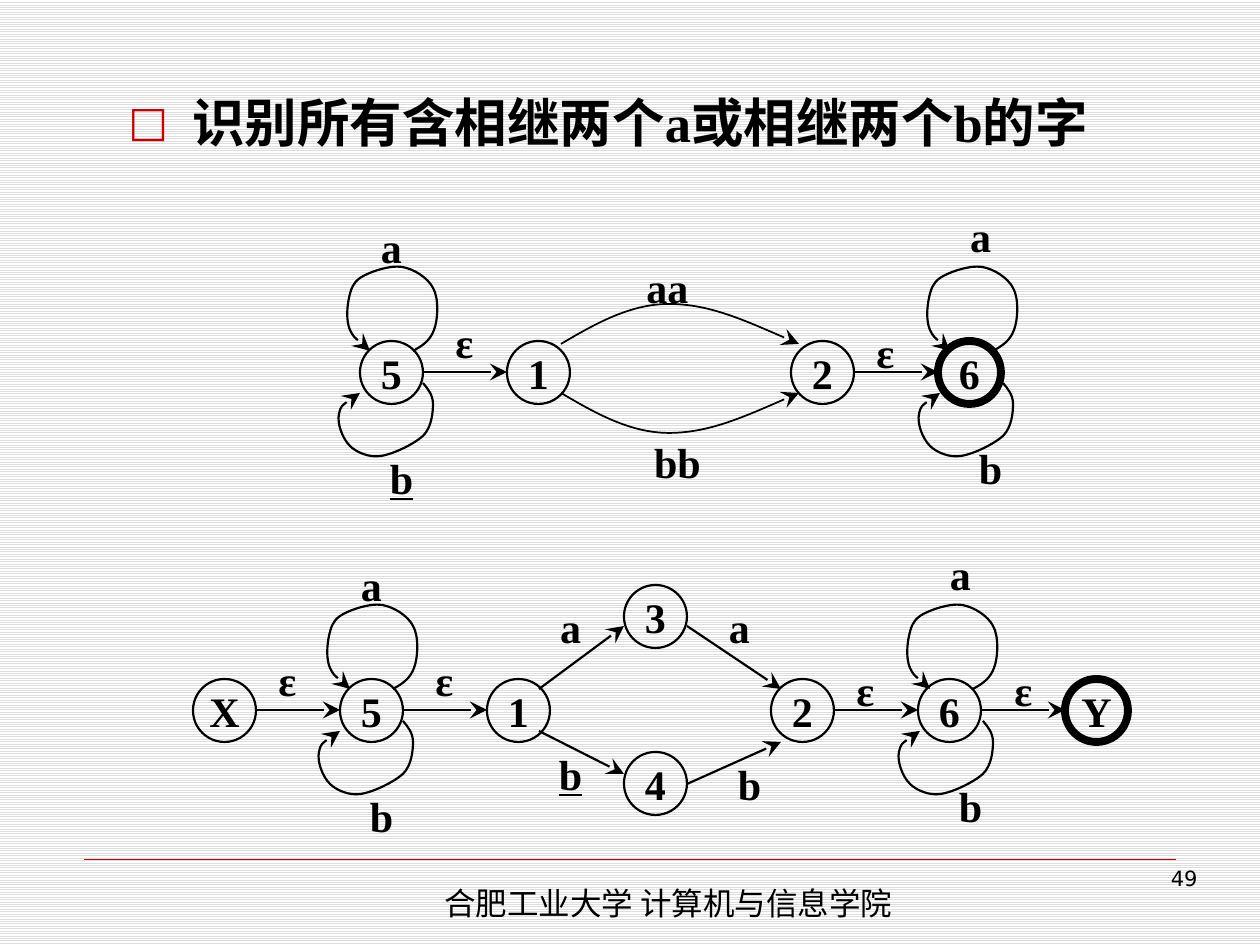
from lxml import etree
from pptx import Presentation
from pptx.dml.color import RGBColor
from pptx.enum.dml import MSO_PATTERN
from pptx.enum.shapes import MSO_CONNECTOR as CONNECTOR, MSO_SHAPE as SHAPE
from pptx.enum.text import MSO_ANCHOR as ANCHOR, MSO_AUTO_SIZE as AUTO_SIZE, PP_ALIGN as ALIGN
from pptx.oxml.ns import qn
from pptx.util import Pt

PX = 914400 / 126
COLORS = {"ink": "000000", "accent": "CC0000", "stripe": "DDDDDD", "paper": "FFFFFF"}
SERIF, SANS, CHINESE = "Times New Roman", "DejaVu Sans", "Noto Sans CJK SC"
SIZE = 63
HALF = SIZE // 2

UPPER_LOOP = [(53, 10), (62, 5), (70, 0), (74, -11), (78, -21), (79, -43), (73, -53),
              (68, -63), (54, -72), (42, -74), (30, -76), (9, -69), (0, -63),
              (-7, -58), (-9, -52), (-11, -43), (-13, -34), (-14, -20), (-10, -11),
              (-6, -3), (3, 4), (10, 10)]
LOWER_LOOP = [(63, 42), (68, 48), (73, 54), (73, 63), (73, 71), (72, 86), (63, 95),
              (54, 103), (34, 113), (21, 115), (9, 117), (-4, 111), (-10, 105),
              (-18, 97), (-23, 82), (-21, 73), (-19, 64), (-10, 58), (0, 52)]
ARC = [(0, 0), (34, -20), (69, -40), (108, -40), (148, -40), (192, -20), (238, 0)]


def emu(value):
    return round(value * PX)


def color(name):
    return RGBColor.from_string(COLORS[name])


class Diagram:
    def __init__(self, slide):
        self.slide = slide
        self.shapes = slide.shapes

    def start_group(self):
        self.shapes = self.slide.shapes.add_group_shape().shapes

    def background(self):
        fill = self.slide.background.fill
        fill.patterned()
        fill.pattern = MSO_PATTERN.LIGHT_HORIZONTAL
        fill.fore_color.rgb = color("stripe")
        fill.back_color.rgb = color("paper")

    def format_run(self, paragraph, size, font, bold=False, underline=None):
        for run in paragraph.runs:
            run.font.size = Pt(size)
            run.font.name = font
            run.font.bold = bold
            run.font.underline = underline
            run.font.color.rgb = color("ink")

    def style_line(self, shape, width, tint="ink", arrow=False):
        shape.line.width = Pt(width)
        shape.line.color.rgb = color(tint)
        if arrow:
            line = shape.line._get_or_add_ln()
            etree.SubElement(line, qn("a:tailEnd"), type="stealth", w="lg", len="lg")

    def text(self, box, words, size, font, bold=False, align=ALIGN.LEFT):
        shape = self.shapes.add_textbox(*map(emu, box))
        frame = shape.text_frame
        frame.word_wrap = True
        frame.text = words
        paragraph = frame.paragraphs[0]
        paragraph.alignment = align
        self.format_run(paragraph, size, font, bold)
        properties = paragraph.runs[0]._r.get_or_add_rPr()
        etree.SubElement(properties, qn("a:ea"), typeface=CHINESE)
        return shape

    def bullet(self, paragraph, char, indent):
        properties = paragraph._p.get_or_add_pPr()
        properties.set("marL", str(emu(indent)))
        properties.set("indent", str(-emu(indent)))
        tint = etree.SubElement(properties, qn("a:buClr"))
        etree.SubElement(tint, qn("a:srgbClr"), val=COLORS["accent"])
        etree.SubElement(properties, qn("a:buSzPct"), val="80000")
        etree.SubElement(properties, qn("a:buFont"), typeface=SANS)
        etree.SubElement(properties, qn("a:buChar"), char=char)

    def centre_text(self, shape, words, underline=None):
        frame = shape.text_frame
        frame.word_wrap = False
        frame.margin_left = frame.margin_right = 0
        frame.vertical_anchor = ANCHOR.MIDDLE
        frame.text = words
        paragraph = frame.paragraphs[0]
        paragraph.alignment = ALIGN.CENTER
        self.format_run(paragraph, 24, SERIF, True, underline)

    def label(self, words, left, top, underline=None):
        shape = self.shapes.add_textbox(*map(emu, (left, top, SIZE, SIZE)))
        self.centre_text(shape, words, underline)

    def state(self, name, left, top, final=False):
        shape = self.shapes.add_shape(SHAPE.OVAL, *map(emu, (left, top, SIZE, SIZE)))
        shape.shadow.inherit = False
        shape.fill.background()
        self.style_line(shape, 4.5 if final else 1.25)
        self.centre_text(shape, name)

    def line(self, start, end, width=1.25, tint="ink", arrow=True):
        connector = self.shapes.add_connector(CONNECTOR.STRAIGHT, *map(emu, start + end))
        self.style_line(connector, width, tint, arrow)
        etree.SubElement(connector._element.spPr, qn("a:effectLst"))

    def step(self, left, right, top):
        self.line((left + SIZE, top + HALF), (right, top + HALF))

    def curve(self, points, left, top, width=1.25, flip=1):
        placed = [(left + x, top + flip * y) for x, y in points]
        builder = self.shapes.build_freeform(*placed[0], scale=PX)
        builder.add_line_segments(placed[1:], close=False)
        shape = builder.convert_to_shape()
        outline = next(shape._element.iter(qn("a:path")))
        segments = outline.findall(qn("a:lnTo"))
        for first in range(0, len(segments), 3):
            bezier = etree.SubElement(outline, qn("a:cubicBezTo"))
            for segment in segments[first:first + 3]:
                bezier.append(segment[0])
                outline.remove(segment)
        shape.shadow.inherit = False
        shape.fill.background()
        self.style_line(shape, width, arrow=True)

    def loops(self, left, top):
        self.curve(UPPER_LOOP, left, top)
        self.curve(LOWER_LOOP, left, top)


def draw_expanded(diagram):
    top = 679
    diagram.start_group()
    row = {"X": 193, "5": 340, "1": 487, "2": 771, "6": 918, "Y": 1065}
    for name, left in row.items():
        diagram.state(name, left, top, final=name == "Y")
    diagram.state("3", 624, 585)
    diagram.state("4", 624, 752)
    for source, target in ("X5", "51", "26", "6Y"):
        diagram.step(row[source], row[target], top)
    for left in (340, 920):
        diagram.loops(left, top)
    for start, end in [((539, 689), (624, 626)), ((539, 731), (624, 774)),
                       ((687, 626), (781, 689)), ((687, 784), (781, 742))]:
        diagram.line(start, end)
    for label in [("ε", 256, 648), ("a", 340, 553), ("b", 350, 784), ("ε", 413, 648),
                  ("ε", 834, 658), ("ε", 992, 658), ("a", 929, 542), ("b", 939, 774),
                  ("a", 539, 595), ("b", 539, 742, True), ("a", 708, 595), ("b", 718, 752)]:
        diagram.label(*label)


def draw_compact(diagram):
    top = 341
    diagram.start_group()
    row = {"5": 360, "1": 507, "2": 791, "6": 938}
    for name, left in row.items():
        diagram.state(name, left, top, final=name == "6")
    for source, target in ("51", "26"):
        diagram.step(row[source], row[target], top)
    for left in (360, 940):
        diagram.loops(left, top)
    diagram.curve(ARC, 561, 344, width=1)
    diagram.curve(ARC, 561, 393, width=1, flip=-1)
    for label in [("a", 360, 215), ("b", 370, 446, True), ("ε", 433, 310), ("ε", 854, 320),
                  ("a", 949, 204), ("b", 959, 436), ("aa", 636, 255), ("bb", 646, 430)]:
        diagram.label(*label)


def main():
    presentation = Presentation()
    presentation.slide_width = emu(1260)
    presentation.slide_height = emu(945)
    diagram = Diagram(presentation.slides.add_slide(presentation.slide_layouts[6]))
    diagram.background()
    diagram.line((84, 859), (1176, 859), 0.25, "accent", arrow=False)
    footer = diagram.text((432, 878, 595, 50), "合肥工业大学 计算机与信息学院", 18, CHINESE)
    footer.text_frame.auto_size = AUTO_SIZE.SHAPE_TO_FIT_TEXT
    diagram.text((937, 859, 273, 66), "49", 12, SANS, align=ALIGN.RIGHT)
    heading = diagram.text((116, 84, 1071, 84), "识别所有含相继两个a或相继两个b的字",
                           30, SERIF, bold=True)
    diagram.bullet(heading.text_frame.paragraphs[0], "□", 64)
    draw_expanded(diagram)
    draw_compact(diagram)
    presentation.save("out.pptx")


if __name__ == "__main__":
    main()
